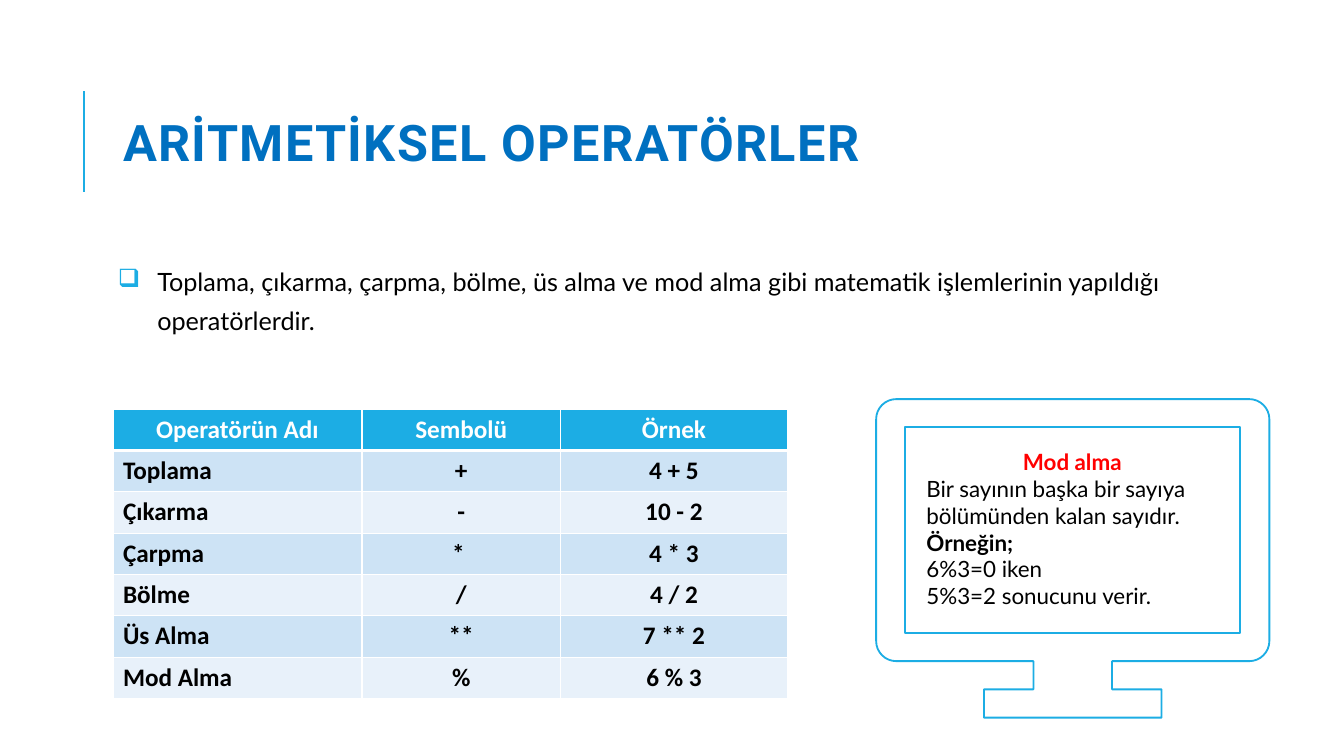
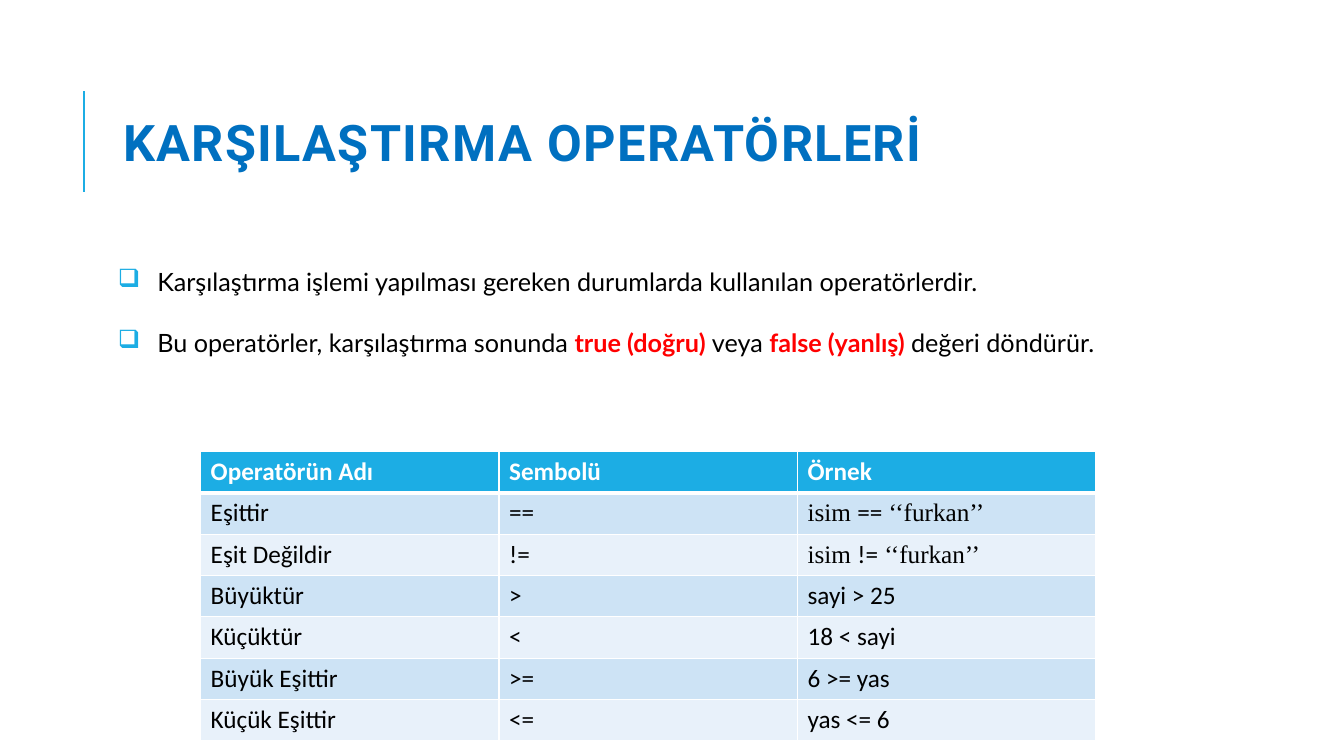
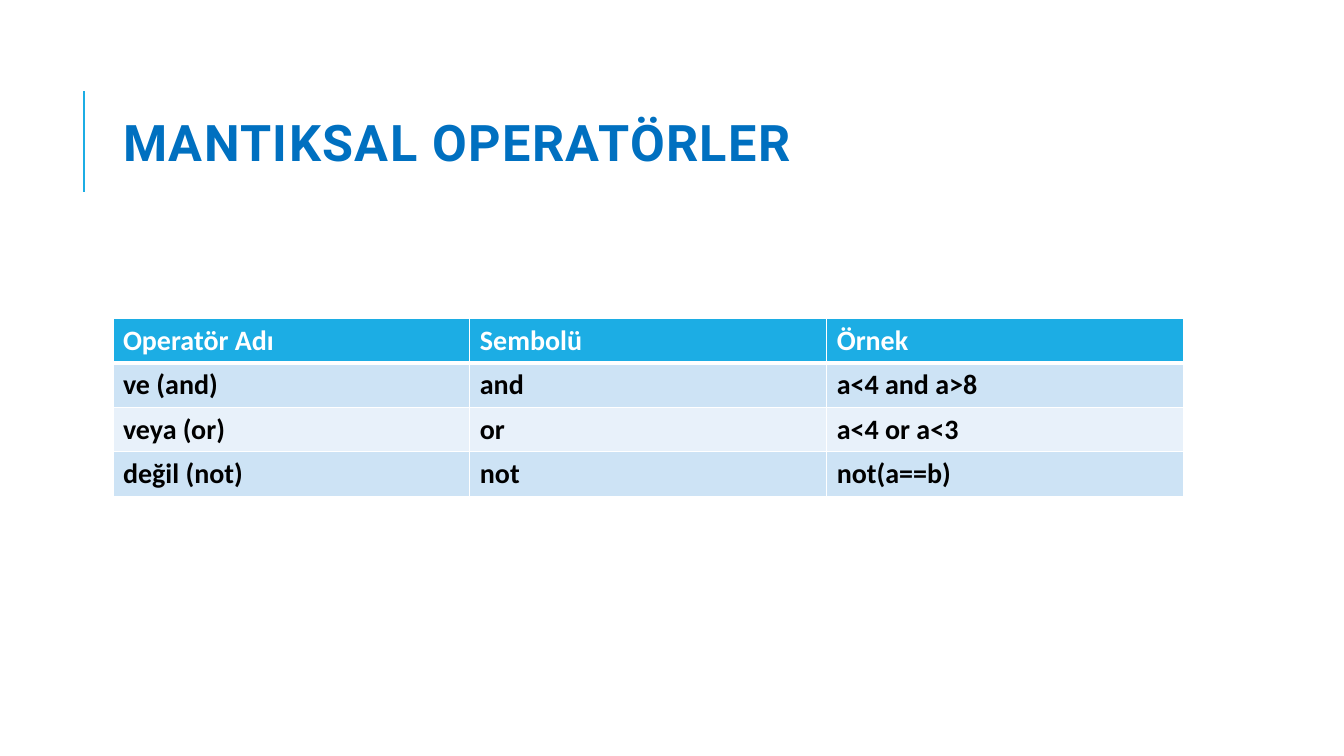
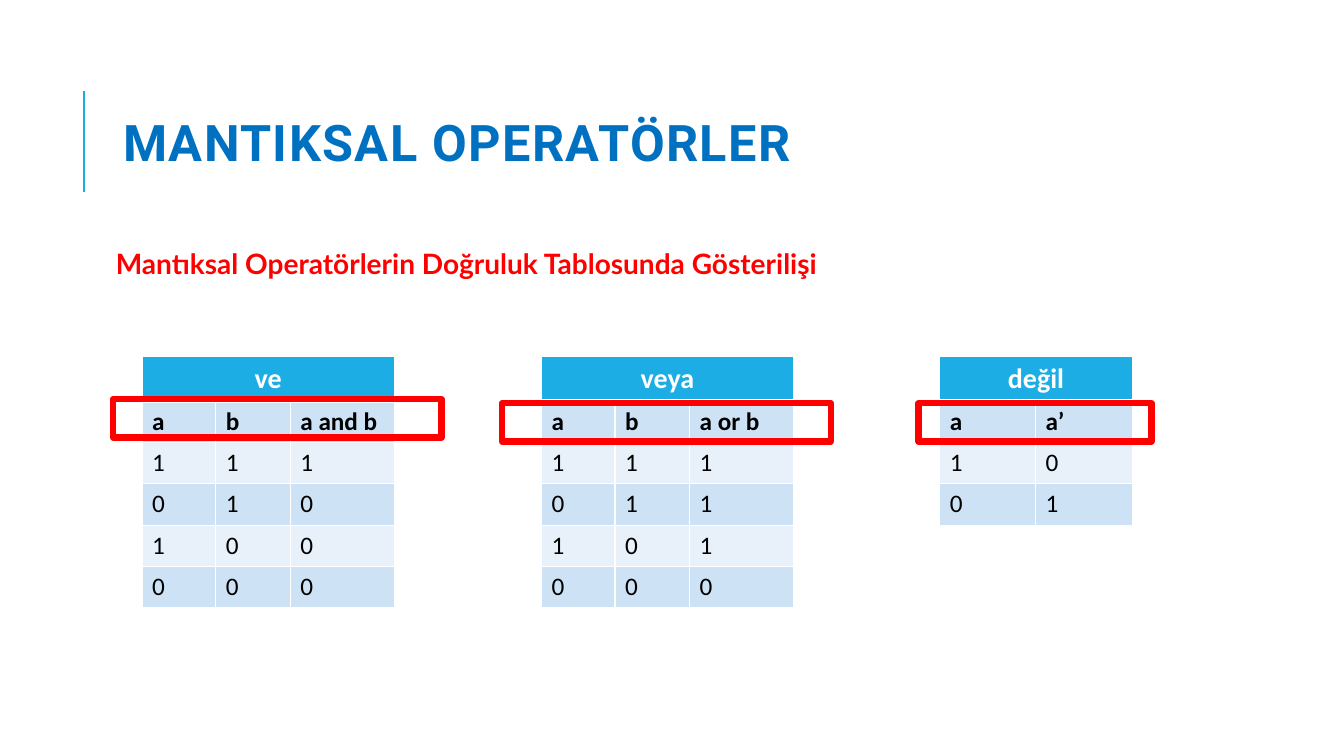
"""Build four slides on arithmetic, comparison and logical operators."""
import math
from dataclasses import dataclass

from lxml import etree
from pptx import Presentation
from pptx.dml.color import RGBColor
from pptx.enum.shapes import MSO_CONNECTOR, MSO_SHAPE
from pptx.enum.text import MSO_ANCHOR, MSO_AUTO_SIZE, PP_ALIGN
from pptx.oxml.ns import qn
from pptx.util import Inches, Pt

LEFT, CENTER = PP_ALIGN.LEFT, PP_ALIGN.CENTER
MIDDLE = MSO_ANCHOR.MIDDLE
FIXED = MSO_AUTO_SIZE.NONE
RECT = MSO_SHAPE.RECTANGLE
STRAIGHT = MSO_CONNECTOR.STRAIGHT


@dataclass(frozen=True)
class Theme:
    """Colours, fonts and type sizes of the deck."""

    blue: str = "1CADE4"
    navy: str = "0070C0"
    band: str = "CDE3F5"
    pale: str = "E8F1FA"
    red: str = "FF0000"
    black: str = "000000"
    white: str = "FFFFFF"
    head: str = "Roboto"
    body: str = "Lato"
    grid: str = "Calibri"
    serif: str = "Times New Roman"
    title: int = 36
    large: int = 20
    text: int = 18
    small: int = 16


T = Theme()
EDGE = 1.12
WIDTH = 10.63
ROW = 0.41


def rgb(color):
    """Turn a hex string into a colour."""
    return RGBColor.from_string(color)


def box(*sizes):
    """Turn numbers into lengths in inches."""
    return [Inches(size) for size in sizes]


def style(font, face=None, size=None, color=None, bold=None):
    """Set the given traits of a font."""
    if face:
        font.name = face
    if size:
        font.size = Pt(size)
    if color:
        font.color.rgb = rgb(color)
    if bold is not None:
        font.bold = bold


def write(para, parts, face, size, color=T.black, bold=False, align=LEFT):
    """Fill a paragraph with a string or with (text, traits) runs."""
    para.alignment = align
    style(para.font, face, size, color, bold)
    if isinstance(parts, str):
        parts = [(parts, {})]
    for text, traits in parts:
        run = para.add_run()
        run.text = text
        style(run.font, **traits)


def lines(frame, count):
    """Return the first paragraphs of a frame, adding those it lacks."""
    while len(frame.paragraphs) < count:
        frame.add_paragraph()
    return frame.paragraphs


def page(deck, text):
    """Add a slide with its title and the rule beside it."""
    slide = deck.slides.add_slide(deck.slide_layouts[5])
    rule = slide.shapes.add_connector(STRAIGHT, *box(0.83, 1.9, 0.83, 0.9))
    rule.line.color.rgb = rgb(T.blue)
    rule.line.width = Pt(1.5)
    etree.SubElement(rule._element.spPr, qn("a:effectLst"))
    title = slide.shapes.title
    title.left, title.top, title.width, title.height = box(EDGE, 0.64, WIDTH, 1.64)
    frame = title.text_frame
    frame.auto_size = FIXED
    frame.word_wrap = True
    frame.vertical_anchor = MIDDLE
    para = frame.paragraphs[0]
    para.line_spacing = 0.8
    write(para, text, T.head, T.title, T.navy, True)
    para.runs[0]._r.get_or_add_rPr().set("spc", "100")
    return slide


def textbox(slide, *place):
    """Add a wrapping text box and return its frame."""
    frame = slide.shapes.add_textbox(*box(*place)).text_frame
    frame.word_wrap = True
    return frame


def bullet(para):
    """Give a paragraph a hanging square bullet."""
    props = para._p.get_or_add_pPr()
    props.set("marL", str(Inches(0.39)))
    props.set("indent", str(Inches(-0.39)))
    tint = etree.SubElement(props, qn("a:buClr"))
    etree.SubElement(tint, qn("a:srgbClr"), val=T.blue)
    etree.SubElement(props, qn("a:buChar"), char="❑")


def points(slide, height, items):
    """Add the bulleted text below the title."""
    frame = textbox(slide, EDGE, 2.5, WIDTH, height)
    frame.margin_left = frame.margin_right = Inches(0.05)
    for para, item in zip(lines(frame, len(items)), items):
        bullet(para)
        para.line_spacing = 1.3
        para.space_before = Pt(12)
        para.space_after = Pt(4)
        write(para, item, T.body, T.text)


def border(cell, top, bottom):
    """Draw white lines around a cell."""
    props = cell._tc.get_or_add_tcPr()
    for side, width in (("L", 1), ("R", 1), ("T", top), ("B", bottom)):
        line = etree.SubElement(props, qn(f"a:ln{side}"), w=str(Pt(width)))
        fill = etree.SubElement(line, qn("a:solidFill"))
        etree.SubElement(fill, qn("a:srgbClr"), val=T.white)


def grid(slide, left, top, cols, rows, high=ROW, size=T.text, head=T.text,
         bold=1, aligns=None, joined=False):
    """Add a banded table whose first rows, bold in number, are bold."""
    place = box(left, top, sum(cols), high * len(rows))
    table = slide.shapes.add_table(len(rows), len(cols), *place).table
    for col, width in zip(table.columns, cols):
        col.width = Inches(width)
    for i, row in enumerate(rows):
        table.rows[i].height = Inches(high)
        for j in range(len(cols)):
            cell = table.cell(i, j)
            border(cell, 3 if i == 1 else 1, 1 if i else 3)
            cell.fill.solid()
            tint = (T.band if i % 2 else T.pale) if i else T.blue
            cell.fill.fore_color.rgb = rgb(tint)
        for j, text in enumerate(row):
            align = aligns[j] if aligns else LEFT
            if i == 0 and (aligns or joined):
                align = CENTER
            write(table.cell(i, j).text_frame.paragraphs[0], text, T.grid,
                  size if i else head, T.black if i else T.white,
                  i < bold, align)
    if joined:
        table.cell(0, 0).merge(table.cell(0, len(cols) - 1))


def paint(shape, line, width, fill=None):
    """Set outline and fill of a shape and drop its shadow."""
    shape.shadow.inherit = False
    shape.line.color.rgb = rgb(line)
    shape.line.width = Pt(width)
    if fill:
        shape.fill.solid()
        shape.fill.fore_color.rgb = rgb(fill)
    else:
        shape.fill.background()


def arc(x, y, start, radius=0.2, steps=8):
    """Return points of a quarter turn, anticlockwise on the slide."""
    turns = [math.radians(start + 90 * n / steps) for n in range(steps + 1)]
    return [(x + radius * math.cos(a), y - radius * math.sin(a)) for a in turns]


def screen(slide):
    """Draw the outline of a monitor with its stand."""
    stand = [(10.25, 6.56), (10.25, 6.84), (9.76, 6.84), (9.76, 7.12),
             (11.52, 7.12), (11.52, 6.84), (11.03, 6.84), (11.03, 6.56)]
    case = (arc(12.39, 4.16, 0) + arc(8.89, 4.16, 90)
            + arc(8.89, 6.36, 180) + stand + arc(12.39, 6.36, 270))
    pane = [(12.3, 6.28), (8.98, 6.28), (8.98, 4.24), (12.3, 4.24)]
    pen = slide.shapes.build_freeform(*box(*pane[0]))
    pen.add_line_segments([box(*spot) for spot in pane[1:]])
    pen.move_to(*box(*case[0]))
    pen.add_line_segments([box(*spot) for spot in case[1:]])
    paint(pen.convert_to_shape(), T.blue, 1.31, T.white)


def note(slide, items):
    """Add the text shown on the monitor."""
    shape = slide.shapes.add_shape(RECT, *box(9.09, 4.25, 3.09, 1.99))
    paint(shape, T.white, 1.25, T.white)
    frame = shape.text_frame
    frame.word_wrap = True
    frame.vertical_anchor = MIDDLE
    for para, (text, traits) in zip(lines(frame, len(items)), items):
        write(para, text, T.body, T.small, **traits)


def math_page(deck):
    """Build the slide on arithmetic operators."""
    slide = page(deck, "ARİTMETİKSEL OPERATÖRLER")
    points(slide, 1.25, [
        "Toplama, çıkarma, çarpma, bölme, üs alma ve mod alma gibi "
        "matematik işlemlerinin yapıldığı operatörlerdir."])
    grid(slide, EDGE, 4.06, (2.47, 1.97, 2.25), [
        ("Operatörün Adı", "Sembolü", "Örnek"),
        ("Toplama", "+", "4 + 5"),
        ("Çıkarma", "-", "10 - 2"),
        ("Çarpma", "* ", "4 * 3"),
        ("Bölme", "/", "4 / 2"),
        ("Üs Alma", "**", "7 ** 2"),
        ("Mod Alma", "%", "6 % 3"),
    ], bold=7, aligns=(LEFT, CENTER, CENTER))
    screen(slide)
    note(slide, [
        ("Mod alma", {"color": T.red, "bold": True, "align": CENTER}),
        ("Bir sayının başka bir sayıya bölümünden kalan sayıdır.", {}),
        ("Örneğin;", {"bold": True}),
        ("6%3=0 iken", {}),
        ("5%3=2 sonucunu verir.", {}),
    ])


def match_page(deck):
    """Build the slide on comparison operators."""
    slide = page(deck, "KARŞILAŞTIRMA OPERATÖRLERİ")
    alert = {"color": T.red, "bold": True}
    points(slide, 1.76, [
        "Karşılaştırma işlemi yapılması gereken durumlarda kullanılan "
        "operatörlerdir.",
        [("Bu operatörler, karşılaştırma sonunda ", {}),
         ("true (doğru) ", alert), ("veya ", {}),
         ("false (yanlış) ", alert), ("değeri döndürür.", {})]])
    serif = {"face": T.serif}
    same, other = ([("isim ", serif), (sign, {}), (" ‘‘furkan’’", serif)]
                   for sign in ("==", "!="))
    grid(slide, 1.99, 4.48, (2.96,) * 3, [
        ("Operatörün Adı", "Sembolü", "Örnek"),
        ("Eşittir", "==", same),
        ("Eşit Değildir", "!=", other),
        ("Büyüktür", ">", "sayi > 25"),
        ("Küçüktür", "<", "18 < sayi"),
        ("Büyük Eşittir", ">=", "6 >= yas"),
        ("Küçük Eşittir", "<=", "yas <= 6"),
    ])


def logic_page(deck):
    """Build the slide on logical operators."""
    slide = page(deck, "MANTIKSAL OPERATÖRLER")
    grid(slide, EDGE, 3.16, (3.54,) * 3, [
        ("Operatör Adı", "Sembolü", "Örnek"),
        ("ve (and)", "and", "a<4 and a>8"),
        ("veya (or)", "or", "a<4 or a<3"),
        ("değil (not)", "not", "not(a==b)"),
    ], high=0.44, size=T.large, head=T.large, bold=4)


def truth_page(deck):
    """Build the slide of truth tables."""
    slide = page(deck, "MANTIKSAL OPERATÖRLER")
    wide, slim = (0.73, 0.74, 1.03), (0.95, 0.96)
    tables = [
        (1.41, wide, [("ve",), ("a", "b", "a and b"), "111", "010", "100", "000"],
         (1.12, 3.96, 3.26)),
        (5.37, wide, [("veya",), ("a", "b", "a or b"), "111", "011", "101", "000"],
         (4.98, 4, 3.26)),
        (9.32, slim, [("değil",), ("a", "a’"), "10", "01"],
         (9.11, 4, 2.31)),
    ]
    for left, cols, rows, mark in tables:
        grid(slide, left, 3.54, cols, rows, head=T.large, bold=2, joined=True)
        frame = slide.shapes.add_shape(RECT, *box(*mark, 0.38))
        paint(frame, T.red, 4.5)
    label = textbox(slide, 1.05, 2.4, 9.07, 0.44)
    write(label.paragraphs[0],
          "Mantıksal Operatörlerin Doğruluk Tablosunda Gösterilişi",
          T.body, T.large, T.red, True)


def main():
    """Build and save the deck."""
    deck = Presentation()
    deck.slide_width, deck.slide_height = box(13.33, 7.5)
    for build in (math_page, match_page, logic_page, truth_page):
        build(deck)
    deck.save("out.pptx")


if __name__ == "__main__":
    main()
